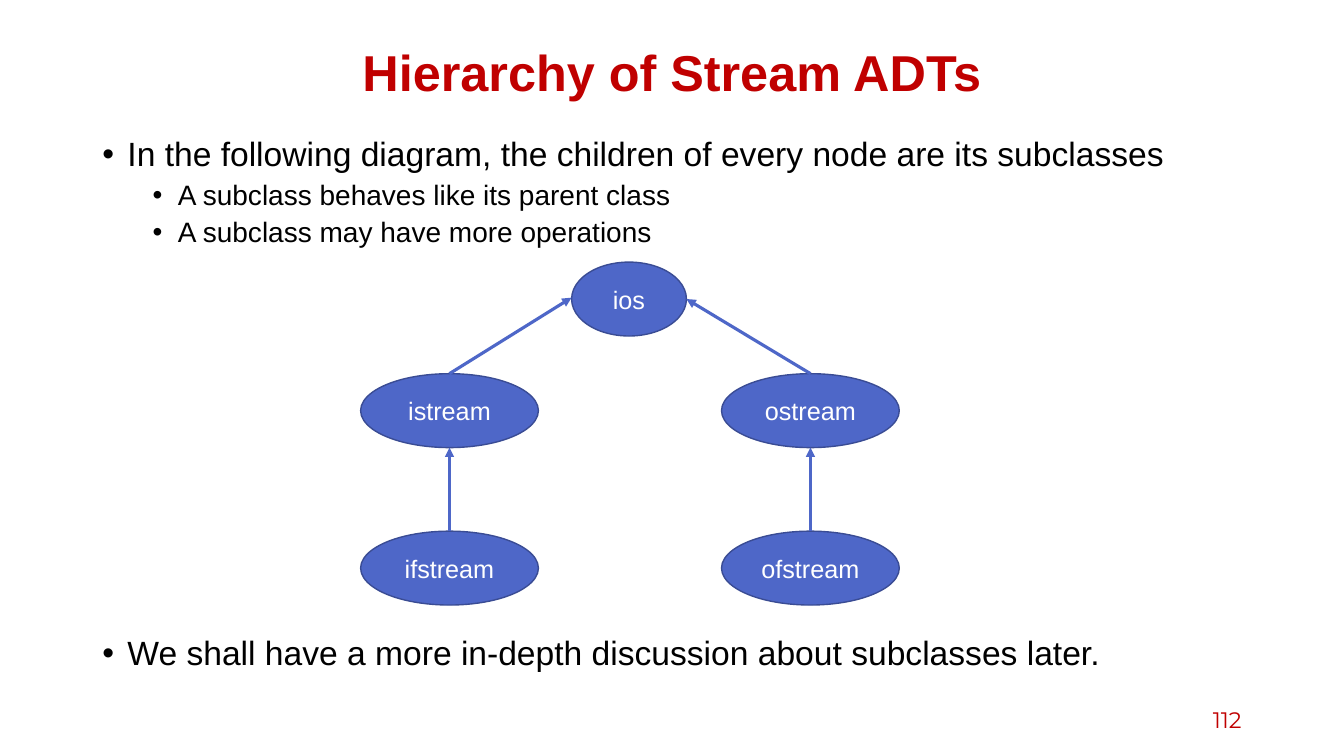
import pptx
import pptx.util
import pptx.dml.color
import pptx.enum.shapes
import pptx.enum.text
import pptx.oxml.ns
from lxml import etree

Pt = pptx.util.Pt
RGBColor = pptx.dml.color.RGBColor
ALIGN = pptx.enum.text.PP_ALIGN
MIDDLE = pptx.enum.text.MSO_ANCHOR.MIDDLE
qn = pptx.oxml.ns.qn

RED = RGBColor(0xC0, 0x00, 0x00)
BLACK = RGBColor(0x00, 0x00, 0x00)
WHITE = RGBColor(0xFF, 0xFF, 0xFF)
BLUE = RGBColor(0x4E, 0x67, 0xC8)
DARK_BLUE = RGBColor(0x3A, 0x4C, 0x94)

NODE_HEIGHT = 52.8
ROOT_WIDTH, CLASS_WIDTH = 82, 127
ROOT_X, INPUT_X, OUTPUT_X = 449.3, 321.1, 578.9
ROOT_Y, STREAM_Y, FILE_Y = 213.6, 293.3, 405.8

# name: (centre x, centre y, width)
NODES = {
    "ios": (ROOT_X, ROOT_Y, ROOT_WIDTH),
    "istream": (INPUT_X, STREAM_Y, CLASS_WIDTH),
    "ostream": (OUTPUT_X, STREAM_Y, CLASS_WIDTH),
    "ifstream": (INPUT_X, FILE_Y, CLASS_WIDTH),
    "ofstream": (OUTPUT_X, FILE_Y, CLASS_WIDTH),
}
# (subclass, end of the arrow at its parent)
ARROWS = [
    ("istream", (ROOT_X - ROOT_WIDTH / 2, ROOT_Y - 1)),
    ("ostream", (ROOT_X + ROOT_WIDTH / 2, ROOT_Y)),
    ("ifstream", (INPUT_X, STREAM_Y + NODE_HEIGHT / 2)),
    ("ofstream", (OUTPUT_X, STREAM_Y + NODE_HEIGHT / 2)),
]
# (text, level, space before)
BULLETS = [
    ("In the following diagram, the children of every node are its subclasses", 0, 0),
    ("A subclass behaves like its parent class", 1, 5),
    ("A subclass may have more operations", 1, 5),
    ("We shall have a more in-depth discussion about subclasses later.", 0, 277),
]


def write(p, text, size, color, name="Arial", bold=False):
    r = p.add_run()
    r.text = text
    r.font.color.rgb = color
    for key, value in {"size": Pt(size), "name": name, "bold": bold}.items():
        setattr(r.font, key, value)


def add_box(slide, left, top, width, height):
    tf = slide.shapes.add_textbox(Pt(left), Pt(top), Pt(width), Pt(height)).text_frame
    tf.word_wrap = True
    return tf


def add_label(slide, bounds, text, align, **style):
    tf = add_box(slide, *bounds)
    tf.vertical_anchor = MIDDLE
    p = tf.paragraphs[0]
    p.alignment = align
    p.line_spacing = 0.9
    write(p, text, color=RED, **style)


def add_bullets(slide, bounds):
    tf = add_box(slide, *bounds)
    for i, (text, level, space) in enumerate(BULLETS):
        p = tf.paragraphs[0] if i == 0 else tf.add_paragraph()
        values = {"level": level, "line_spacing": 0.9, "space_before": Pt(space)}
        for key, value in values.items():
            setattr(p, key, value)
        pPr = p._p.get_or_add_pPr()
        pPr.set("marL", str(Pt(18 + 36 * level)))
        pPr.set("indent", str(Pt(-18)))
        etree.SubElement(pPr, qn("a:buFont"), typeface="Arial")
        etree.SubElement(pPr, qn("a:buChar"), char="•")
        write(p, text, 24 - 4 * level, BLACK)


def add_node(slide, name):
    x, y, width = NODES[name]
    sp = slide.shapes.add_shape(
        pptx.enum.shapes.MSO_SHAPE.OVAL,
        Pt(x - width / 2), Pt(y - NODE_HEIGHT / 2), Pt(width), Pt(NODE_HEIGHT))
    sp.shadow.inherit = False
    sp.fill.solid()
    sp.fill.fore_color.rgb = BLUE
    sp.line.color.rgb = DARK_BLUE
    sp.line.width = Pt(1)
    tf = sp.text_frame
    tf.vertical_anchor = MIDDLE
    p = tf.paragraphs[0]
    p.alignment = ALIGN.CENTER
    write(p, name, 18, WHITE)
    return sp


def add_arrow(slide, subclass, end):
    x, y = end
    line = slide.shapes.add_connector(
        pptx.enum.shapes.MSO_CONNECTOR.STRAIGHT, 0, 0, Pt(x), Pt(y))
    line.begin_connect(subclass, 0)
    line.line.color.rgb = BLUE
    line.line.width = Pt(2.25)
    etree.SubElement(line.line._get_or_add_ln(), qn("a:tailEnd"), type="triangle")
    etree.SubElement(line._element.spPr, qn("a:effectLst"))


def main():
    prs = pptx.Presentation()
    prs.slide_width, prs.slide_height = Pt(960), Pt(540)
    slide = prs.slides.add_slide(prs.slide_layouts[6])

    # Title, bullets and page number
    add_label(slide, (66, 28.8, 828, 50.4), "Hierarchy of Stream ADTs",
              ALIGN.CENTER, size=36, bold=True)
    add_bullets(slide, (66, 95, 828, 396.7))
    add_label(slide, (678, 500.5, 216, 28.8), "112",
              ALIGN.RIGHT, size=16, name="Montserrat")

    # Class hierarchy
    nodes = {name: add_node(slide, name) for name in NODES}
    for name, end in ARROWS:
        add_arrow(slide, nodes[name], end)

    prs.save("out.pptx")


if __name__ == "__main__":
    main()
